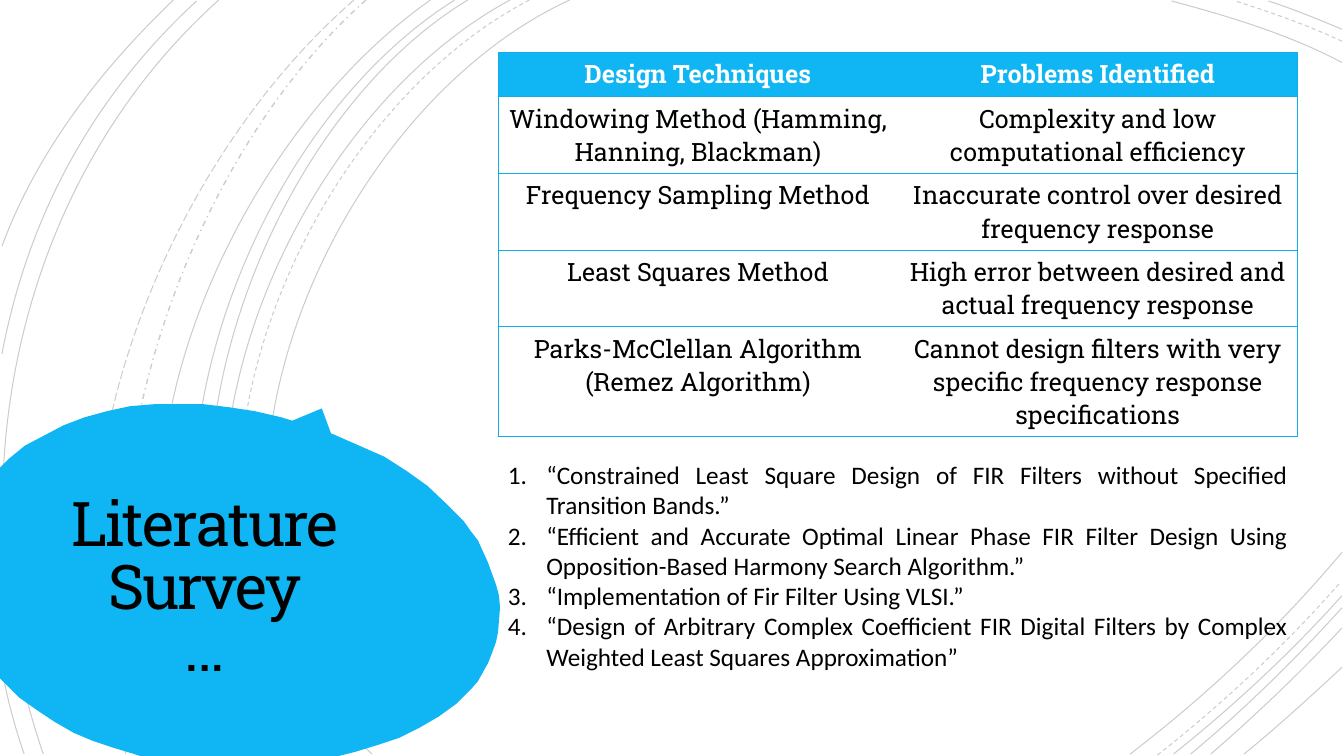
from dataclasses import dataclass
from lxml import etree
from pptx import Presentation, util as u
from pptx.dml.color import RGBColor
from pptx.enum import dml, shapes, text
from pptx.oxml.ns import qn

COLOURS = {"accent": "10B6F4", "rule": "0FAEE9", "ink": "000000", "paper": "FFFFFF"}
SLAB, SANS = "Roboto Slab", "Calibri"
DASH = dml.MSO_LINE


@dataclass
class Arc:
    """A cubic curve: start, two handles and end, in inches."""
    points: list[tuple[float, float]]
    dash: dml.MSO_LINE = DASH.SOLID
    width: float = 0.75


ARCS = [
    Arc([(5.65, 0), (3.15, 1.15), (1.43, 5.4), (3.69, 7.48)]),
    Arc([(13.31, 0.62), (12.78, 0.34), (12.18, 0.16), (11.62, 0.01)]),
    Arc([(11.21, 7.48), (11.97, 6.9), (12.69, 6.22), (13.31, 5.48)]),
    Arc([(5.25, 0), (2.85, 1.25), (1.23, 5.37), (3.36, 7.48)], DASH.DASH),
    Arc([(13.31, 0.41), (12.97, 0.25), (12.6, 0.12), (12.25, 0.01)], DASH.DASH),
    Arc([(11.48, 7.49), (12.13, 6.98), (12.75, 6.4), (13.3, 5.77)], DASH.DASH),
    Arc([(5.06, 0), (2.7, 1.27), (1.1, 5.37), (3.19, 7.48)]),
    Arc([(13.31, 0.29), (13.07, 0.19), (12.83, 0.09), (12.58, 0.01)]),
    Arc([(11.64, 7.48), (12.23, 7.01), (12.8, 6.48), (13.31, 5.91)]),
    Arc([(4.64, 0), (2.44, 1.33), (1.1, 5.41), (2.94, 7.48)]),
    Arc([(11.81, 7.48), (12.34, 7.04), (12.84, 6.55), (13.31, 6.03)]),
    Arc([(4.51, 0), (2.31, 1.38), (0.97, 5.33), (2.72, 7.48)]),
    Arc([(12.01, 7.48), (12.46, 7.09), (12.9, 6.67), (13.31, 6.23)]),
    Arc([(4.27, 0), (2.17, 1.47), (0.53, 5.29), (2.41, 7.48)]),
    Arc([(12.34, 7.48), (12.67, 7.21), (12.99, 6.92), (13.31, 6.62)]),
    Arc([(3.63, 0), (1.76, 1.66), (0.65, 5.09), (1.51, 7.48)], DASH.DASH_DOT, 1),
    Arc([(3.51, 0), (1.57, 1.69), (0.29, 4.99), (1.25, 7.48)], DASH.LONG_DASH),
    Arc([(2.17, 0), (0.11, 1.85), (-0.46, 4.9), (0.43, 7.48)]),
    Arc([(1.95, 0.01), (0.92, 0.96), (0.28, 2.14), (0.02, 3.51)]),
    Arc([(0.01, 6.58), (0.06, 6.89), (0.14, 7.19), (0.24, 7.48)]),
    Arc([(1.72, 0), (1, 0.69), (0.37, 1.5), (0.02, 2.44)]),
]

BUBBLE = [
    (1.76, 4.01), (2.02, 4.01), (2.27, 4.04), (2.53, 4.08), (2.79, 4.14), (3.05, 4.22),
    (3.31, 4.31), (3.56, 4.42), (3.81, 4.53), (4.03, 4.67), (4.24, 4.82), (4.43, 5),
    (4.6, 5.17), (4.67, 5.27), (4.74, 5.36), (4.79, 5.47), (4.84, 5.58), (4.88, 5.69),
    (4.92, 5.8), (4.95, 5.91), (4.96, 6.03), (4.95, 6.15), (4.94, 6.27), (4.92, 6.37),
    (4.88, 6.48), (4.84, 6.58), (4.79, 6.67), (4.74, 6.76), (4.67, 6.84), (4.53, 6.98),
    (4.35, 7.11), (4.16, 7.22), (3.96, 7.32), (3.75, 7.39), (3.52, 7.46), (3.36, 7.5),
    (1.39, 7.5), (1.33, 7.48), (1.13, 7.42), (0.92, 7.35), (0.73, 7.27), (0.54, 7.16),
    (0.36, 7.04), (0.19, 6.92), (0.04, 6.77), (0, 6.73), (0, 4.64), (0.09, 4.55),
    (0.25, 4.42), (0.44, 4.32), (0.63, 4.22), (0.84, 4.14), (1.06, 4.08), (1.29, 4.03),
    (1.53, 4.01),
]

ROWS = [
    ("Design Techniques", "Problems Identified"),
    ("Windowing Method (Hamming, Hanning, Blackman)",
     "Complexity and low computational efficiency"),
    ("Frequency Sampling Method", "Inaccurate control over desired frequency response"),
    ("Least Squares Method", "High error between desired and actual frequency response"),
    ("Parks-McClellan Algorithm (Remez Algorithm)",
     "Cannot design filters with very specific frequency response specifications"),
]
ROW_HEIGHTS = [0.44, 0.75, 0.75, 0.75, 1.08]

PAPERS = [
    "“Constrained Least Square Design of FIR Filters without Specified Transition Bands.”",
    "“Efficient and Accurate Optimal Linear Phase FIR Filter Design Using "
    "Opposition-Based Harmony Search Algorithm.”",
    "“Implementation of Fir Filter Using VLSI.”",
    "“Design of Arbitrary Complex Coefficient FIR Digital Filters by Complex "
    "Weighted Least Squares Approximation”",
]


def rgb(name: str) -> RGBColor:
    return RGBColor.from_string(COLOURS[name])


def write(para, words: str, *, size: float = 18, font: str = SLAB, colour: str = "ink",
          bold: bool = False, align=text.PP_ALIGN.CENTER, tracking: float = 0) -> None:
    para.text = words
    para.alignment = align
    for span in para.runs:
        span.font.size, span.font.name, span.font.bold = u.Pt(size), font, bold
        span.font.color.rgb = rgb(colour)
        if tracking:
            span.font._element.set("spc", str(round(tracking * 100)))


def add_outline(page, points, close: bool):
    (left, top), *rest = [(u.Inches(x), u.Inches(y)) for x, y in points]
    builder = page.shapes.build_freeform(left, top)
    builder.add_line_segments(rest, close=close)
    shape = builder.convert_to_shape()
    shape.shadow.inherit = False
    return shape


def add_arc(page, arc: Arc) -> None:
    """Draw the arc by turning its three legs into one Bezier segment."""
    shape = add_outline(page, arc.points, close=False)
    outline = next(shape.element.iter(qn("a:path")))
    legs = outline.findall(qn("a:lnTo"))
    curve = etree.SubElement(outline, qn("a:cubicBezTo"))
    for leg in legs:
        curve.append(leg[0])
        outline.remove(leg)
    shape.fill.background()
    shape.line.width, shape.line.dash_style = u.Pt(arc.width), arc.dash
    shape.line.color.rgb = rgb("ink")
    tint = next(shape.line._ln.iter(qn("a:srgbClr")))
    etree.SubElement(tint, qn("a:alpha"), val="20000")


def paint_accent(shape) -> None:
    shape.shadow.inherit = False
    shape.fill.solid()
    shape.fill.fore_color.rgb = rgb("accent")
    shape.line.fill.background()


def add_bubble(page) -> None:
    tail = page.shapes.add_shape(shapes.MSO_SHAPE.ISOSCELES_TRIANGLE, u.Inches(2.02),
                                 u.Inches(4.01), u.Inches(1.94), u.Inches(1.01))
    tail.rotation = 23.6
    paint_accent(tail)
    paint_accent(add_outline(page, BUBBLE, close=True))


def place_title(page) -> None:
    title = page.shapes.title
    page.shapes.element.append(title.element)  # bring to the front
    title.left, title.top = u.Inches(0.33), u.Inches(4.51)
    title.width, title.height = u.Inches(3.4), u.Inches(2.69)
    frame = title.text_frame
    frame.margin_left = frame.margin_right = u.Inches(0.25)
    frame.margin_top = frame.margin_bottom = u.Inches(0.25)
    frame.vertical_anchor = text.MSO_ANCHOR.MIDDLE
    frame.word_wrap = True
    frame.auto_size = text.MSO_AUTO_SIZE.TEXT_TO_FIT_SHAPE
    para = frame.paragraphs[0]
    para.line_spacing = 0.85
    write(para, "Literature\vSurvey\v…", size=44, tracking=-1.5)


def set_borders(cell, drawn: dict[str, bool]) -> None:
    """Rule the sides marked True and clear the others."""
    props = cell._tc.get_or_add_tcPr()
    for place, (side, visible) in enumerate(drawn.items()):
        line = etree.Element(qn(f"a:ln{side}"), w=str(u.Pt(0.75)))
        if visible:
            fill = etree.SubElement(line, qn("a:solidFill"))
            etree.SubElement(fill, qn("a:srgbClr"), val=COLOURS["rule"])
        else:
            etree.SubElement(line, qn("a:noFill"))
        props.insert(place, line)


def add_techniques(page) -> None:
    table = page.shapes.add_table(len(ROWS), 2, u.Inches(4.94), u.Inches(0.52),
                                  u.Inches(7.93), u.Inches(sum(ROW_HEIGHTS))).table
    table.horz_banding = False
    for r, (words, height) in enumerate(zip(ROWS, ROW_HEIGHTS)):
        table.rows[r].height = u.Inches(height)
        header = r == 0
        for c, entry in enumerate(words):
            cell = table.cell(r, c)
            write(cell.text_frame.paragraphs[0], entry, bold=header,
                  colour="paper" if header else "ink")
            if header:
                cell.fill.solid()
                cell.fill.fore_color.rgb = rgb("accent")
            else:
                cell.fill.background()
            set_borders(cell, {"L": c == 0, "R": c == 1, "T": True, "B": True})


def add_papers(page) -> None:
    box = page.shapes.add_textbox(u.Inches(4.94), u.Inches(4.51), u.Inches(7.93), u.Inches(2.22))
    frame = box.text_frame
    frame.word_wrap = True
    frame.auto_size = text.MSO_AUTO_SIZE.SHAPE_TO_FIT_TEXT
    for n, paper in enumerate(PAPERS):
        para = frame.add_paragraph() if n else frame.paragraphs[0]
        write(para, paper, font=SANS, align=text.PP_ALIGN.JUSTIFY)
        props = para._p.get_or_add_pPr()
        props.set("marL", str(u.Inches(0.38)))
        props.set("indent", str(-u.Inches(0.38)))
        etree.SubElement(props, qn("a:buAutoNum"), type="arabicPeriod")


def main() -> None:
    deck = Presentation()
    deck.slide_width, deck.slide_height = u.Inches(13.33), u.Inches(7.5)
    page = deck.slides.add_slide(deck.slide_layouts[5])
    for arc in ARCS:
        add_arc(page, arc)
    add_bubble(page)
    place_title(page)
    add_techniques(page)
    add_papers(page)
    deck.save("out.pptx")


if __name__ == "__main__":
    main()
